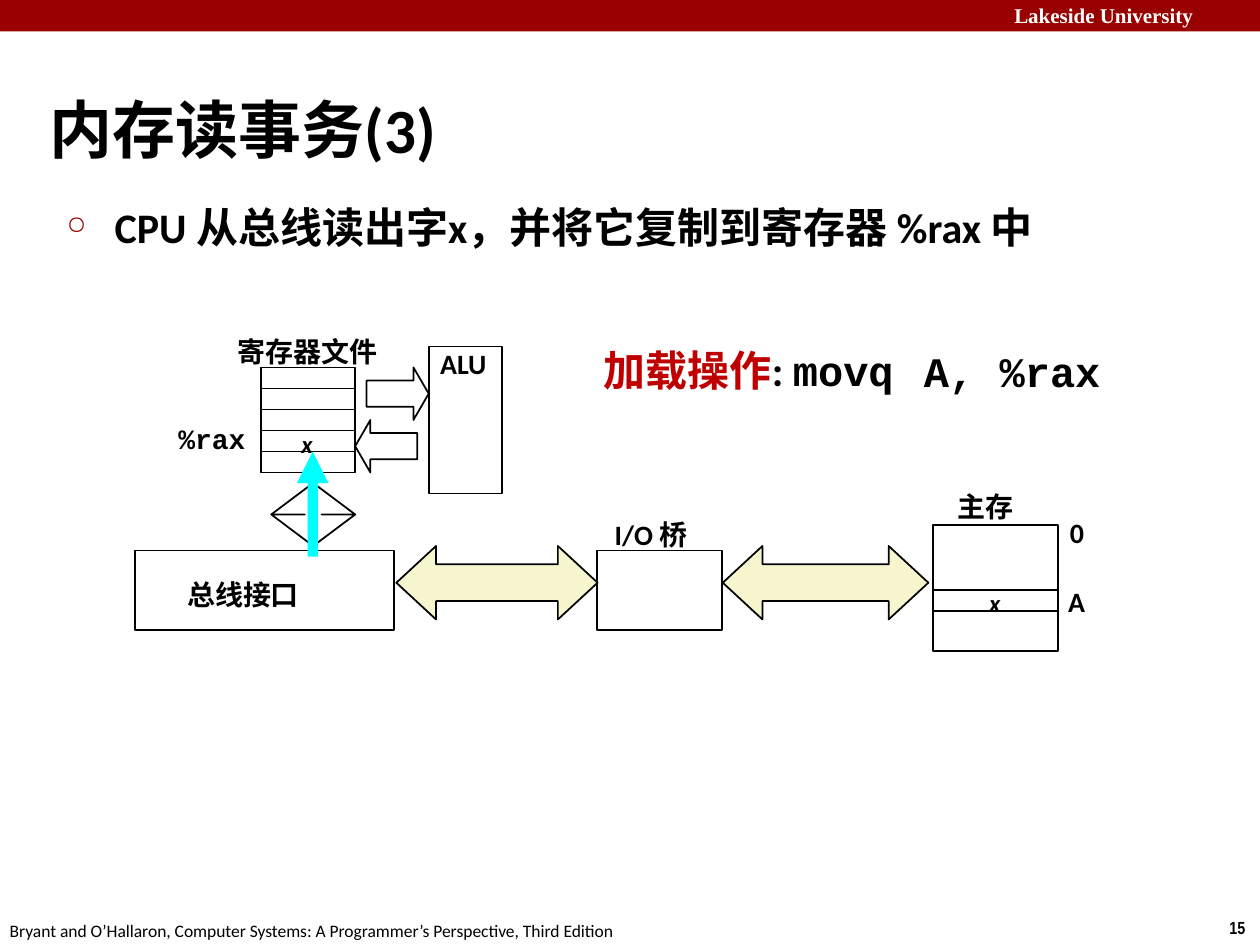
from collections import namedtuple
from dataclasses import dataclass

from lxml import etree
from pptx import Presentation
from pptx.dml.color import RGBColor
from pptx.enum import shapes, text
from pptx.oxml.ns import qn
from pptx.util import Pt

Box = namedtuple("Box", "x y w h")
Shape = shapes.MSO_SHAPE


@dataclass(frozen=True)
class Theme:
    ink: str = "000000"
    paper: str = "FFFFFF"
    band: str = "990000"
    accent: str = "C00000"
    bus: str = "F7F5CD"
    flow: str = "00FFFF"
    body: str = "Calibri"
    code: str = "Courier New"
    serif: str = "Times New Roman"
    narrow: str = "Arial Narrow"
    title_size: int = 36
    text_size: int = 24
    label_size: int = 16
    value_size: int = 14
    header_size: int = 12
    footer_size: int = 10


T = Theme()


def place(sp, x, y, w, h):
    sp.left, sp.top, sp.width, sp.height = Pt(x), Pt(y), Pt(w), Pt(h)


def style(r, size, font=T.body, color=T.ink, bold=True, italic=False):
    r.font.size, r.font.name = Pt(size), font
    r.font.bold, r.font.italic = bold, italic
    r.font.color.rgb = RGBColor.from_string(color)


def set_frame(tf, margins=(0, 0, 0, 0), wrap=True):
    tf.margin_left, tf.margin_top, tf.margin_right, tf.margin_bottom = map(Pt, margins)
    tf.word_wrap = wrap
    tf.auto_size = text.MSO_AUTO_SIZE.NONE


def label(s, words, x, y, w, h=18, size=T.label_size, margins=(0, 0, 0, 0), **look):
    sp = s.shapes.add_textbox(Pt(x), Pt(y), Pt(w), Pt(h))
    set_frame(sp.text_frame, margins, wrap=False)
    p = sp.text_frame.paragraphs[0]
    p.text = words
    style(p.runs[0], size, **look)
    return p


def block(s, x, y, w, h, kind=Shape.RECTANGLE, fill=None, line=T.ink, adjust=()):
    sp = s.shapes.add_shape(kind, Pt(x), Pt(y), Pt(w), Pt(h))
    sp.shadow.inherit = False
    for i, value in enumerate(adjust):
        sp.adjustments[i] = value
    if fill:
        sp.fill.solid()
        sp.fill.fore_color.rgb = RGBColor.from_string(fill)
    else:
        sp.fill.background()
    if line:
        sp.line.color.rgb = RGBColor.from_string(line)
        sp.line.width = Pt(1)
    else:
        sp.line.fill.background()
    return sp


def header(s, box):
    block(s, *box, fill=T.band, line=None)
    label(s, "Lakeside University", box.x + 572.5, box.y - 2, 152, 22, T.header_size,
          (7.2, 3.6, 7.2, 3.6), font=T.serif, color=T.paper)


def footer(s, box):
    margins = (7.2, 3.6, 7.2, 3.6)
    label(s, "Bryant and O’Hallaron, Computer Systems: A Programmer’s Perspective, "
          "Third Edition", box.x - 1.5, box.y + 1.5, 366, 19.5, T.footer_size, margins, bold=False)
    label(s, "15", box.x + box.w - 24.5, box.y, 24.5, 19.5, T.footer_size, margins, font=T.narrow)


def title(s, box):
    sp = s.shapes.title
    place(sp, *box)
    tf = sp.text_frame
    tf.text = "内存读事务(3)"
    set_frame(tf, (0, 17.3, 0, 0))
    tf.vertical_anchor = text.MSO_ANCHOR.MIDDLE
    p = tf.paragraphs[0]
    p.alignment = text.PP_ALIGN.LEFT
    style(p.runs[0], T.title_size)


def statement(s, box):
    p = label(s, "CPU 从总线读出字x，并将它复制到寄存器 %rax 中", *box, size=T.text_size)
    pPr = p._p.get_or_add_pPr()
    pPr.set("marL", str(Pt(28)))
    pPr.set("indent", str(Pt(-27.4)))
    color = etree.SubElement(pPr, qn("a:buClr"))
    etree.SubElement(color, qn("a:srgbClr")).set("val", T.band)
    etree.SubElement(pPr, qn("a:buSzPct")).set("val", "60000")
    etree.SubElement(pPr, qn("a:buChar")).set("char", "○")


def operation(s, box):
    p = label(s, "加载操作", box.x, box.y, 207, box.h, T.text_size, color=T.accent)
    for words, font in ((": ", T.body), ("movq", T.code)):
        r = p.add_run()
        r.text = words
        style(r, T.text_size, font)
    label(s, "A, %rax", box.x + 183, box.y + 0.7, 108, box.h, T.text_size, font=T.code)


def processor(s, box):
    x, y = box.x, box.y
    row_h, rows, rax_row = 12, 5, 3
    reg = Box(x + 72, y + 20, 54, rows * row_h)
    for i in range(rows):
        block(s, reg.x, reg.y + i * row_h, reg.w, row_h)
    block(s, reg.x + 60.5, reg.y, 35.5, 30, Shape.RIGHT_ARROW, adjust=(0.5, 0.29))
    block(s, reg.x + reg.w, reg.y + 30, 35.5, 30, Shape.LEFT_ARROW, adjust=(0.5, 0.29))
    block(s, x + 168, y + 8, 42, 84)
    label(s, "ALU", x + 174.5, y + 8, 32)
    block(s, x + 78, y + 86, 48, 36, Shape.UP_DOWN_ARROW, adjust=(0.5, 0.2))
    block(s, x, y + 124.6, 148, 45.5)
    block(s, x + 92.7, y + 68, 18, 60, Shape.UP_ARROW, T.flow, None, (0.33, 1))
    label(s, "%rax", x + 25, reg.y + rax_row * row_h - 5, 40, font=T.code)
    label(s, "x", x + 95.2, reg.y + rax_row * row_h - 1, 9, 16, T.value_size, italic=True)
    label(s, "寄存器文件", x + 59, y + 1, 88, 19.5)
    label(s, "总线接口", x + 30, y + 140, 88, 19.5)


def bus(s, box):
    block(s, *box, kind=Shape.LEFT_RIGHT_ARROW, fill=T.bus, adjust=(0.5, 0.54))


def bridge(s, box):
    block(s, *box)
    label(s, "I/O 桥", box.x + 10.3, box.y - 18.7, 52, 19.5)


def memory(s, box):
    block(s, *box)
    block(s, box.x, box.y + 37, box.w, 12)
    label(s, "x", box.x + 32, box.y + 36, 9, 16, T.value_size, italic=True)
    label(s, "0", box.x + box.w + 6.5, box.y - 5.5, 10)
    label(s, "A", box.x + box.w + 5.5, box.y + 34, 12)
    label(s, "主存", box.x + 14, box.y - 20.5, 44, 19.5)


def main():
    prs = Presentation()
    prs.slide_width, prs.slide_height = Pt(720), Pt(540)
    s = prs.slides.add_slide(prs.slide_layouts[5])
    header(s, Box(0, 0, 720, 18))
    footer(s, Box(0, 520.5, 720, 19.5))
    title(s, Box(28.5, 34, 598, 61))
    statement(s, Box(37.5, 115, 587, 29))
    bus(s, Box(413, 312, 117.5, 42))
    bridge(s, Box(341, 314.6, 71.5, 45.5))
    bus(s, Box(226.5, 312, 115, 42))
    processor(s, Box(77, 190, 210, 170))
    memory(s, Box(533.3, 300, 71.5, 72))
    operation(s, Box(345, 196.6, 291, 29))
    prs.save("out.pptx")


if __name__ == "__main__":
    main()
